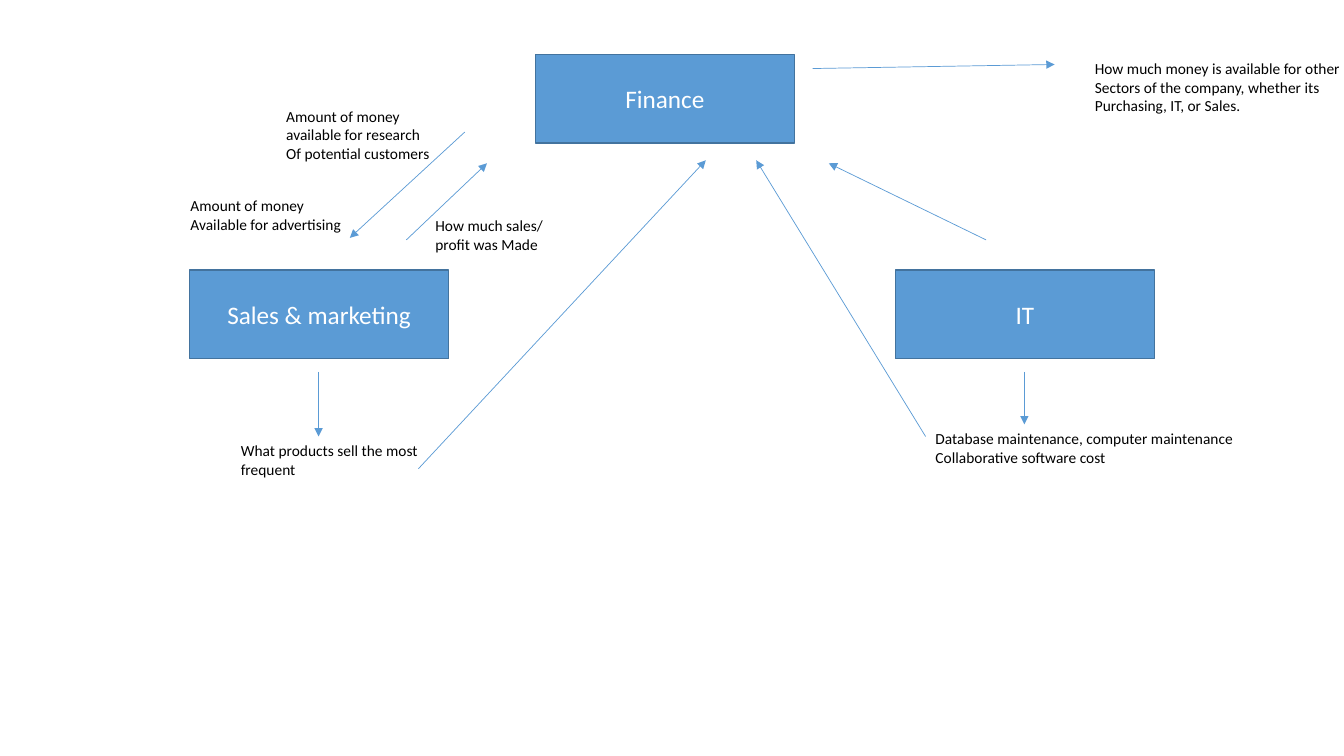
from lxml import etree
from pptx import Presentation
from pptx.dml.color import RGBColor
from pptx.enum.shapes import MSO_CONNECTOR, MSO_SHAPE
from pptx.enum.text import MSO_ANCHOR, MSO_AUTO_SIZE, PP_ALIGN
from pptx.oxml.ns import qn
from pptx.util import Inches, Pt

RECTANGLE = MSO_SHAPE.RECTANGLE
STRAIGHT = MSO_CONNECTOR.STRAIGHT
MIDDLE = MSO_ANCHOR.MIDDLE
CENTER, LEFT = PP_ALIGN.CENTER, PP_ALIGN.LEFT
GROW = MSO_AUTO_SIZE.SHAPE_TO_FIT_TEXT

FONT = "Calibri"
BLUE, DARK_BLUE, WHITE, BLACK = "5B9BD5", "43739E", "FFFFFF", "000000"
BOX_WIDTH, BOX_HEIGHT = 2.57, 0.88
SIDE_TOP = 2.68
BLANK_LAYOUT = 6


def paint(color_format, color):
    """Set a colour from a hex string."""
    color_format.rgb = RGBColor.from_string(color)


def write_lines(frame, lines, size, color, align):
    """Write each line as a paragraph holding one formatted run."""
    for index, line in enumerate(lines):
        para = frame.add_paragraph() if index else frame.paragraphs[0]
        para.alignment = align
        span = para.add_run()
        span.text = line
        span.font.name = FONT
        span.font.size = Pt(size)
        paint(span.font.color, color)


def add_box(page, left, top, name):
    """Draw a department rectangle with its name."""
    box = page.shapes.add_shape(RECTANGLE, Inches(left), Inches(top),
                                Inches(BOX_WIDTH), Inches(BOX_HEIGHT))
    box.shadow.inherit = False
    box.fill.solid()
    paint(box.fill.fore_color, BLUE)
    paint(box.line.color, DARK_BLUE)
    box.line.width = Pt(1)
    box.text_frame.vertical_anchor = MIDDLE
    write_lines(box.text_frame, [name], 18, WHITE, CENTER)


def add_note(page, left, top, width, lines):
    """Place an unwrapped note that grows with its lines."""
    height = 0.09 + 0.19 * len(lines)
    note = page.shapes.add_textbox(Inches(left), Inches(top),
                                   Inches(width), Inches(height))
    note.text_frame.word_wrap = False
    note.text_frame.auto_size = GROW
    write_lines(note.text_frame, lines, 11, BLACK, LEFT)


def add_arrow(page, start_x, start_y, end_x, end_y):
    """Draw a thin arrow pointing at its end."""
    arrow = page.shapes.add_connector(STRAIGHT, Inches(start_x), Inches(start_y),
                                      Inches(end_x), Inches(end_y))
    paint(arrow.line.color, BLUE)
    arrow.line.width = Pt(0.5)
    etree.SubElement(arrow.line._get_or_add_ln(), qn("a:tailEnd"), type="triangle")
    etree.SubElement(arrow._element.spPr, qn("a:effectLst"))


def add_department(page, left, top, name, arrows, notes):
    """Draw a department with arrows and notes offset from its box corner."""
    add_box(page, left, top, name)
    for start_x, start_y, end_x, end_y in arrows:
        add_arrow(page, left + start_x, top + start_y, left + end_x, top + end_y)
    for note_x, note_y, width, lines in notes:
        add_note(page, left + note_x, top + note_y, width, lines)


def add_sales(page, left, top):
    """Draw the sales and marketing region."""
    arrows = [(2.15, -0.3, 2.95, -1.06), (2.73, -1.37, 1.59, -0.32),
              (1.28, 1.01, 1.28, 1.65), (2.27, 1.97, 5.12, -1.09)]
    notes = [
        (0.86, -1.67, 1.64, ["Amount of money", "available for research",
                             "Of potential customers"]),
        (-0.09, -0.78, 1.71, ["Amount of money", "Available for advertising"]),
        (2.34, -0.58, 1.27, ["How much sales/", "profit was Made"]),
        (0.41, 1.65, 1.97, ["What products sell the most", "frequent"]),
    ]
    add_department(page, left, top, "Sales & marketing", arrows, notes)


def add_finance(page, left, top):
    """Draw the finance region."""
    arrows = [(2.75, 0.14, 5.15, 0.1)]
    notes = [(5.45, 0, 2.65, ["How much money is available for other",
                              "Sectors of the company, whether its",
                              "Purchasing, IT, or Sales."])]
    add_department(page, left, top, "Finance", arrows, notes)


def add_it(page, left, top):
    """Draw the IT region."""
    arrows = [(0.9, -0.3, -0.66, -1.06), (1.28, 1.01, 1.28, 1.53),
              (0.3, 1.65, -1.38, -1.09)]
    notes = [(0.3, 1.53, 3.18, ["Database maintenance, computer maintenance",
                                "Collaborative software cost"])]
    add_department(page, left, top, "IT", arrows, notes)


def main():
    """Build the department slide and save the deck."""
    deck = Presentation()
    deck.slide_width, deck.slide_height = Inches(13.33), Inches(7.5)
    page = deck.slides.add_slide(deck.slide_layouts[BLANK_LAYOUT])
    add_sales(page, 1.88, SIDE_TOP)
    add_finance(page, 5.31, 0.54)
    add_it(page, 8.88, SIDE_TOP)
    deck.save("out.pptx")


main()
